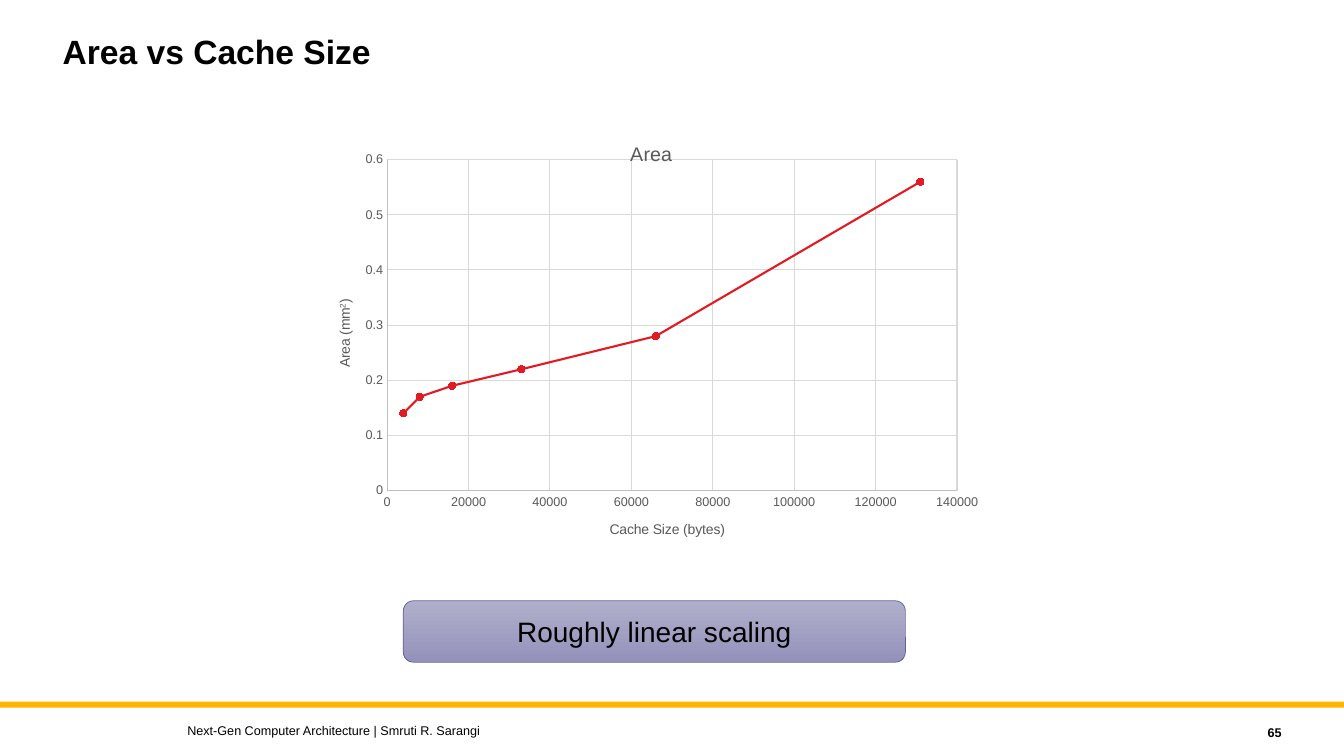
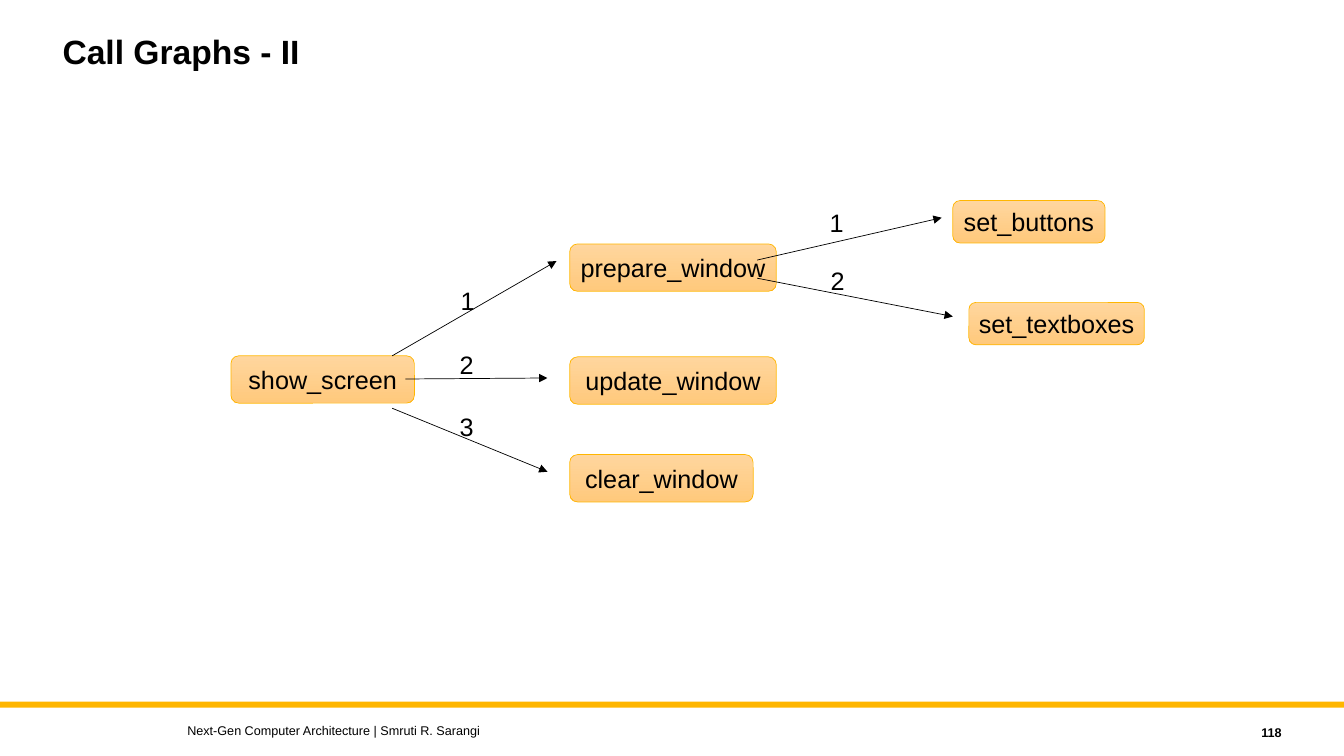
"""Build two lecture slides: a cache area chart and a call graph."""
from lxml import etree
from pptx import Presentation
from pptx import util as u
from pptx.chart.data import XyChartData
from pptx.dml.color import RGBColor
from pptx.enum import chart as ch, shapes, text
from pptx.oxml import parse_xml
from pptx.oxml.ns import nsdecls, qn

PX = 9144
FONT = "Arial"
BLACK = RGBColor(0, 0, 0)
GOLD = RGBColor(0xFF, 0xB6, 0x00)
GREY = RGBColor(0x59, 0x59, 0x59)
AXIS = RGBColor(0xBF, 0xBF, 0xBF)
GRID = RGBColor(0xD9, 0xD9, 0xD9)
RED = RGBColor(0xE2, 0x1A, 0x23)
PURPLE = (RGBColor(0xB0, 0xAF, 0xCA), RGBColor(0x94, 0x92, 0xBB), RGBColor(0x62, 0x5D, 0x9C))
ORANGE = (RGBColor(0xFF, 0xD6, 0x9E), RGBColor(0xFF, 0xC9, 0x7C), GOLD)

SIZE = (1333, 750)
BAND = (0, 696, 1333, 6)
TITLE = (52, 30, 1000, 90)
FOOTER = "Next-Gen Computer Architecture | Smruti R. Sarangi"
FOOTER_BOX = (176, 712, 800, 25)
NUMBER_BOX = (1141, 714, 140, 25)

CHART_BOX = (323, 120, 649, 423)
PLOT = {"layoutTarget": "inner", "xMode": "edge", "yMode": "edge",
        "x": 0.094, "y": 0.091, "w": 0.871, "h": 0.776}
POINTS = [(4000, 0.14), (8000, 0.17), (16000, 0.19),
          (33000, 0.22), (66000, 0.28), (131000, 0.56)]
NOTE = ("Roughly linear scaling", (400, 596, 498, 61))

NODES = [
    ("show_screen", (229, 353, 182, 47)),
    ("prepare_window", (565, 242, 205, 47)),
    ("update_window", (565, 354, 205, 47)),
    ("clear_window", (565, 451, 182, 47)),
    ("set_buttons", (945, 199, 151, 42)),
    ("set_textboxes", (961, 300, 174, 42)),
]
CALLS = [
    ("1", (389, 353, 552, 259), (447, 278)),
    ("2", (402, 376, 543, 375), (446, 342)),
    ("3", (389, 405, 543, 468), (446, 403)),
    ("1", (751, 258, 934, 216), (813, 201)),
    ("2", (751, 276, 945, 314), (814, 258)),
]
LABEL_SIZE = (34, 40)


def px(values):
    return [u.Emu(v * PX) for v in values]


def style(font, size, color=BLACK, bold=False):
    for name, value in {"name": FONT, "size": u.Pt(size), "bold": bold}.items():
        setattr(font, name, value)
    font.color.rgb = color


def write(shape, words, size, align=text.PP_ALIGN.LEFT, anchor=text.MSO_ANCHOR.MIDDLE,
          wrap=True, bold=False):
    tf = shape.text_frame
    for name, value in {"word_wrap": wrap, "vertical_anchor": anchor,
                        "auto_size": text.MSO_AUTO_SIZE.NONE}.items():
        setattr(tf, name, value)
    p = tf.paragraphs[0]
    p.alignment = align
    r = p.add_run()
    r.text = words
    style(r.font, size, bold=bold)
    return p


def add_label(s, words, box, size, **options):
    write(s.shapes.add_textbox(*px(box)), words, size, **options)


def add_box(s, words, box, size, colors):
    sp = s.shapes.add_shape(shapes.MSO_SHAPE.ROUNDED_RECTANGLE, *px(box))
    sp.shadow.inherit = False
    sp.fill.gradient()
    sp.fill.gradient_angle = 270
    for stop, color in zip(sp.fill.gradient_stops, colors):
        stop.color.rgb = color
    sp.line.color.rgb = colors[2]
    sp.line.width = u.Pt(0.5)
    write(sp, words, size, align=text.PP_ALIGN.CENTER, wrap=False)


def add_arrow(s, ends):
    line = s.shapes.add_connector(shapes.MSO_CONNECTOR.STRAIGHT, *px(ends))
    line.line.color.rgb = BLACK
    line.line.width = u.Pt(0.5)
    etree.SubElement(line.line._get_or_add_ln(), qn("a:tailEnd"), type="triangle")
    etree.SubElement(line.element.spPr, qn("a:effectLst"))


def add_band(prs, s):
    band = s.shapes.add_shape(shapes.MSO_SHAPE.RECTANGLE, *px(BAND))
    band.shadow.inherit = False
    band.fill.solid()
    band.fill.fore_color.rgb = GOLD
    band.line.fill.background()
    prs.slide_master.element.cSld.spTree.append(band.element)


def new_slide(prs, title, number):
    s = prs.slides.add_slide(prs.slide_layouts[5])
    sp = s.shapes.title
    sp.left, sp.top, sp.width, sp.height = px(TITLE)
    write(sp, title, 24, anchor=text.MSO_ANCHOR.TOP, bold=True).line_spacing = 0.9
    add_label(s, FOOTER, FOOTER_BOX, 9)
    add_label(s, number, NUMBER_BOX, 9, align=text.PP_ALIGN.RIGHT, bold=True)
    return s


def place(parent, values):
    layout = parent.find(qn("c:layout"))
    if layout is None:
        layout = parse_xml(f"<c:layout {nsdecls('c')}/>")
        parent.insert(0, layout)
    manual = etree.SubElement(layout, qn("c:manualLayout"))
    for name, value in values.items():
        etree.SubElement(manual, qn(f"c:{name}"), val=str(value))


def set_title(title, words, size, x, y, raised=""):
    p = title.text_frame.paragraphs[0]
    for part, baseline in zip(words, (None, raised, None)):
        r = p.add_run()
        r.text = part
        style(r.font, size, GREY)
        if baseline:
            r.font._element.set("baseline", baseline)
    place(title._element, {"xMode": "edge", "yMode": "edge", "x": x, "y": y})


def add_area_chart(s):
    data = XyChartData()
    series = data.add_series("Area")
    for x, y in POINTS:
        series.add_data_point(x, y)
    chart = s.shapes.add_chart(ch.XL_CHART_TYPE.XY_SCATTER_LINES, *px(CHART_BOX), data).chart
    style(chart.font, 10)
    chart.has_legend = False
    chart.has_title = True
    set_title(chart.chart_title, ["Area"], 14, 0.46, 0.04)
    place(chart._chartSpace.chart.plotArea, PLOT)

    plot = chart.plots[0]
    plot.vary_by_categories = False
    line = plot.series[0]
    line.smooth = False
    line.format.line.color.rgb = RED
    line.format.line.width = u.Pt(1.5)
    line.marker.style = ch.XL_MARKER_STYLE.CIRCLE
    line.marker.size = 5
    line.marker.format.fill.solid()
    line.marker.format.fill.fore_color.rgb = RED
    line.marker.format.line.color.rgb = RED

    axes = [
        (chart.category_axis, 140000, 20000, ["Cache Size (bytes)"], 0.43, 0.93),
        (chart.value_axis, 0.6, 0.1, ["Area (mm", "2", ")"], 0.01, 0.41),
    ]
    for axis, top, step, words, x, y in axes:
        for name, value in {"minimum_scale": 0, "maximum_scale": top, "major_unit": step,
                            "has_major_gridlines": True, "has_title": True,
                            "major_tick_mark": ch.XL_TICK_MARK.NONE,
                            "minor_tick_mark": ch.XL_TICK_MARK.NONE}.items():
            setattr(axis, name, value)
        style(axis.tick_labels.font, 9, GREY)
        for part, color in ((axis, AXIS), (axis.major_gridlines, GRID)):
            part.format.line.color.rgb = color
            part.format.line.width = u.Pt(0.75)
        set_title(axis.axis_title, words, 10, x, y, "30000")
    chart.value_axis.axis_title.text_frame._txBody.bodyPr.set("rot", "-5400000")


def main():
    prs = Presentation()
    prs.slide_width, prs.slide_height = px(SIZE)

    s = new_slide(prs, "Area vs Cache Size", "65")
    add_band(prs, s)
    add_area_chart(s)
    add_box(s, *NOTE, 20, PURPLE)

    s = new_slide(prs, "Call Graphs - II", "118")
    for words, box in NODES:
        add_box(s, words, box, 18, ORANGE)
    for order, ends, corner in CALLS:
        add_arrow(s, ends)
        add_label(s, order, corner + LABEL_SIZE, 18, wrap=False)

    prs.save("out.pptx")


if __name__ == "__main__":
    main()
